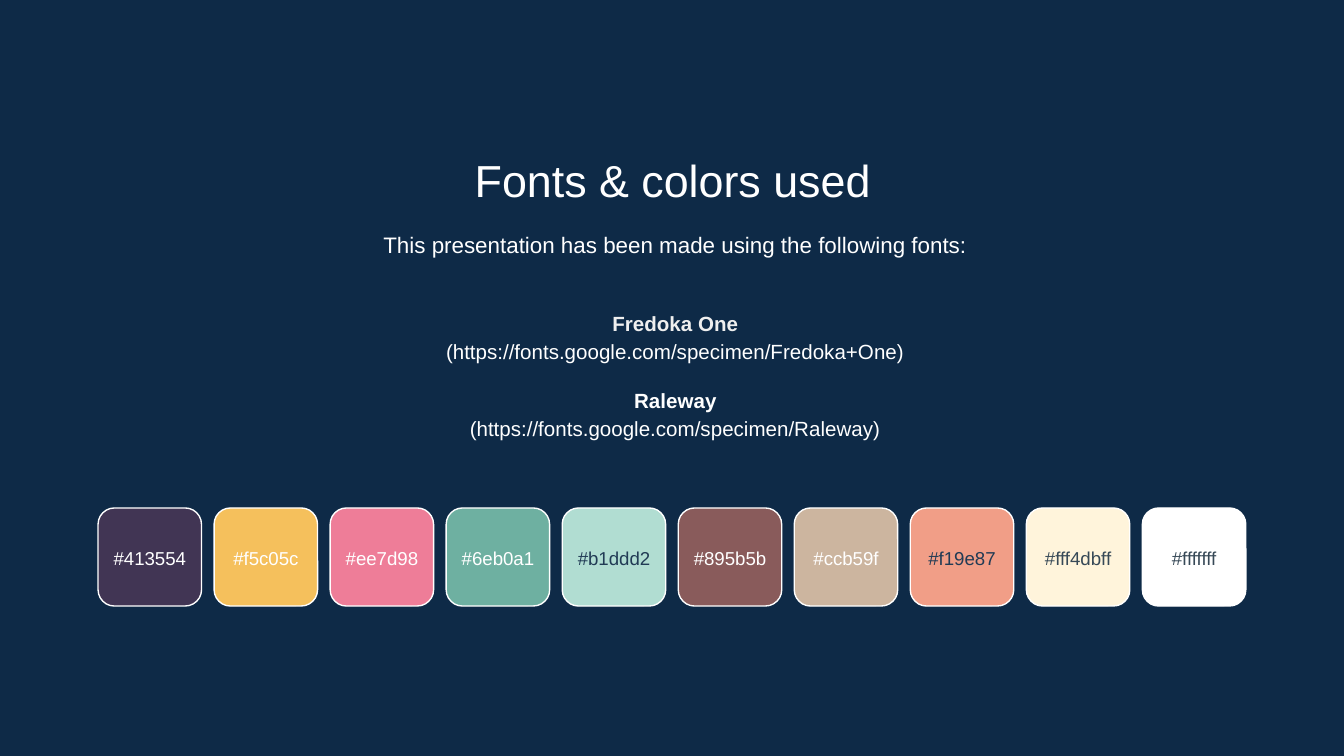
from pptx import Presentation
from pptx.dml.color import RGBColor
from pptx.enum.shapes import MSO_SHAPE
from pptx.enum.text import MSO_ANCHOR, PP_ALIGN
from pptx.util import Inches, Pt

ROUNDED = MSO_SHAPE.ROUNDED_RECTANGLE
CENTER = PP_ALIGN.CENTER
TOP, MIDDLE = MSO_ANCHOR.TOP, MSO_ANCHOR.MIDDLE

# Content
FONT = "Arial"
COLORS = {"navy": "0E2A47", "white": "FFFFFF", "pale": "EFEFEF",
          "ink": "213B55", "slate": "374957"}

TITLE = "Fonts & colors used"
INTRO = "This presentation has been made using the following fonts:"
# (text, bold, color, points before)
FONT_LINES = [
    ("Fredoka One", True, "pale", 0),
    ("(https://fonts.google.com/specimen/Fredoka+One)", False, "white", 0),
    ("Raleway", True, "white", 11),
    ("(https://fonts.google.com/specimen/Raleway)", False, "white", 0),
]
# (label, label color)
SWATCHES = [
    ("#413554", "white"), ("#f5c05c", "white"), ("#ee7d98", "white"),
    ("#6eb0a1", "white"), ("#b1ddd2", "ink"), ("#895b5b", "white"),
    ("#ccb59f", "white"), ("#f19e87", "ink"), ("#fff4dbff", "slate"),
    ("#fffffff", "slate"),
]

# Layout in inches, on a 16:9 slide
SLIDE_W = 10
SLIDE_H = SLIDE_W * 9 / 16
TEXT_W = 7.71
SWATCH_LEFT, SWATCH_RIGHT = 0.73, 9.27
SWATCH_TOP, SWATCH_W, SWATCH_H = 3.78, 0.77, 0.73
LABEL_TOP, LABEL_H = 3.94, 0.43
PITCH = (SWATCH_RIGHT - SWATCH_LEFT - SWATCH_W) / (len(SWATCHES) - 1)


def rgb(name):
    return RGBColor.from_string(COLORS[name])


def add_text(left, top, width, height, lines, size, anchor=TOP, spacing=1.0):
    frame = slide.shapes.add_textbox(Inches(left), Inches(top), Inches(width),
                                     Inches(height)).text_frame
    frame.word_wrap = True
    frame.vertical_anchor = anchor
    frame.margin_left = frame.margin_right = Inches(0.1)
    frame.margin_top = frame.margin_bottom = Inches(0.1)
    frame.text = "\n".join(line[0] for line in lines)
    for paragraph, (_, bold, color, before) in zip(frame.paragraphs, lines):
        paragraph.alignment = CENTER
        paragraph.line_spacing = spacing
        if before:
            paragraph.space_before = Pt(before)
        font = paragraph.runs[0].font
        font.name, font.size, font.bold = FONT, Pt(size), bold
        font.color.rgb = rgb(color)


def add_swatch(left, fill):
    swatch = slide.shapes.add_shape(ROUNDED, Inches(left), Inches(SWATCH_TOP),
                                    Inches(SWATCH_W), Inches(SWATCH_H))
    swatch.shadow.inherit = False
    swatch.fill.solid()
    swatch.fill.fore_color.rgb = RGBColor.from_string(fill)
    swatch.line.color.rgb = rgb("white")
    swatch.line.width = Pt(0.75)


prs = Presentation()
prs.slide_width, prs.slide_height = Inches(SLIDE_W), Inches(SLIDE_H)
slide = prs.slides.add_slide(prs.slide_layouts[6])
slide.background.fill.solid()
slide.background.fill.fore_color.rgb = rgb("navy")

# Heading and font list
add_text(1.15, 1.04, TEXT_W, 0.53, [(TITLE, False, "white", 0)], 24)
add_text(1.17, 1.59, TEXT_W, 0.48, [(INTRO, False, "white", 0)], 12,
         spacing=1.15)
add_text(1.17, 2.1, TEXT_W, 1.37, FONT_LINES, 11, MIDDLE, 1.15)

# Color swatches, each filled with the color its label names
for column, (label, label_color) in enumerate(SWATCHES):
    left = SWATCH_LEFT + column * PITCH
    add_swatch(left, label[1:7].upper())
    add_text(left, LABEL_TOP, SWATCH_W, LABEL_H,
             [(label, False, label_color, 0)], 10, MIDDLE)

prs.save("out.pptx")
